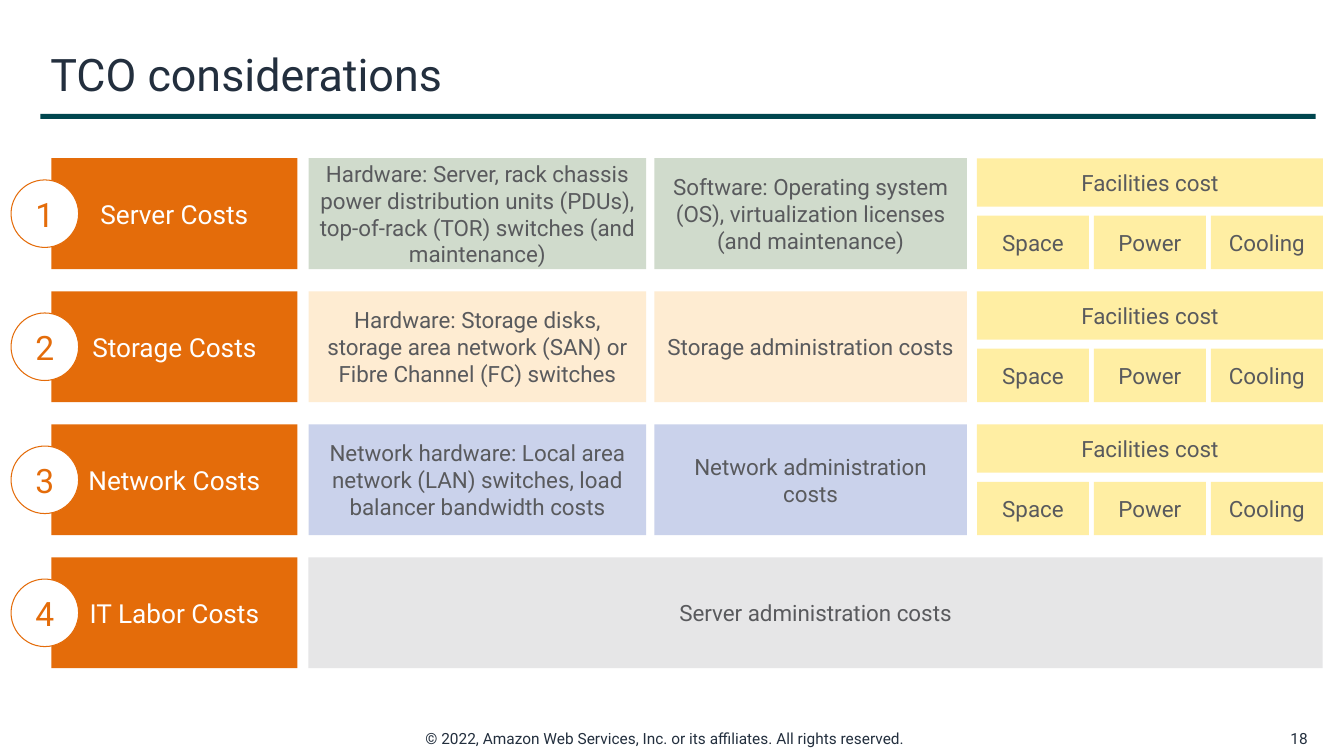
from pptx import Presentation
from pptx.dml.color import RGBColor
from pptx.enum.shapes import MSO_SHAPE
from pptx.enum.text import MSO_ANCHOR, PP_ALIGN
from pptx.util import Inches, Pt

RECTANGLE, OVAL = MSO_SHAPE.RECTANGLE, MSO_SHAPE.OVAL
LEFT, CENTER, RIGHT = PP_ALIGN.LEFT, PP_ALIGN.CENTER, PP_ALIGN.RIGHT
MIDDLE = MSO_ANCHOR.MIDDLE

ORANGE = RGBColor(0xE4, 0x6C, 0x0A)
WHITE = RGBColor(0xFF, 0xFF, 0xFF)
NAVY = RGBColor(0x23, 0x2F, 0x3E)
TEAL = RGBColor(0x00, 0x46, 0x4F)
GRAY = RGBColor(0x59, 0x5A, 0x5D)
SILVER = RGBColor(0xE6, 0xE6, 0xE7)
GREEN = RGBColor(0xD0, 0xDB, 0xCC)
PEACH = RGBColor(0xFE, 0xEC, 0xD2)
LAVENDER = RGBColor(0xCA, 0xD2, 0xEB)
YELLOW = RGBColor(0xFF, 0xEE, 0xA3)

FONT = "Roboto"
FIRST_ROW, ROW_PITCH, ROW_HEIGHT = 1.57, 1.32, 1.1
CATEGORY_LEFT, CATEGORY_WIDTH = 0.51, 2.44
DETAIL_COLUMNS = ((3.06, 3.35), (6.49, 3.1))
FACILITIES_LEFT, FACILITIES_WIDTH, FACILITIES_HEIGHT = 9.69, 3.43, 0.48
ITEM_PITCH, ITEM_WIDTH, ITEM_HEIGHT = 1.16, 1.11, 0.53
BADGE_LEFT, BADGE_SIZE = 0.11, 0.67
RULE_LEFT, RULE_WIDTH = 0.4, 12.65

COSTS = (
    ("Server Costs", GREEN, (
        "Hardware: Server, rack chassis power distribution units (PDUs), "
        "top-of-rack (TOR) switches (and maintenance)",
        "Software: Operating system (OS), virtualization licenses\n(and maintenance)")),
    ("Storage Costs", PEACH, (
        "Hardware: Storage disks, storage area network (SAN) or Fibre Channel (FC) switches",
        "Storage administration costs")),
    ("Network Costs", LAVENDER, (
        "Network hardware: Local area network (LAN) switches, load balancer bandwidth costs",
        "Network administration costs")),
    ("IT Labor Costs", SILVER, ("Server administration costs",)),
)
FACILITIES = ("Space", "Power", "Cooling")


def write(shape, text, size, color, align):
    frame = shape.text_frame
    frame.text = text
    frame.word_wrap = True
    frame.vertical_anchor = MIDDLE
    frame.margin_top = frame.margin_bottom = 0
    for paragraph in frame.paragraphs:
        paragraph.alignment = align
        for run in paragraph.runs:
            run.font.name = FONT
            run.font.size = Pt(size)
            run.font.color.rgb = color


def add_label(slide, box, text, size, align):
    label = slide.shapes.add_textbox(*map(Inches, box))
    write(label, text, size, NAVY, align)


def add_block(slide, box, fill, text="", size=16, color=GRAY, kind=RECTANGLE):
    block = slide.shapes.add_shape(kind, *map(Inches, box))
    block.shadow.inherit = False
    block.fill.solid()
    block.fill.fore_color.rgb = fill
    block.line.fill.background()
    if text:
        write(block, text, size, color, CENTER)
    return block


def add_badge(slide, number, top):
    box = (BADGE_LEFT, top + (ROW_HEIGHT - BADGE_SIZE) / 2, BADGE_SIZE, BADGE_SIZE)
    badge = add_block(slide, box, WHITE, str(number), 24, ORANGE, OVAL)
    badge.text_frame.margin_left = badge.text_frame.margin_right = 0
    badge.line.color.rgb = ORANGE
    badge.line.width = Pt(0.75)


def add_facilities(slide, top):
    add_block(slide, (FACILITIES_LEFT, top, FACILITIES_WIDTH, FACILITIES_HEIGHT),
              YELLOW, "Facilities cost")
    item_top = top + ROW_HEIGHT - ITEM_HEIGHT
    for column, item in enumerate(FACILITIES):
        item_left = FACILITIES_LEFT + column * ITEM_PITCH
        add_block(slide, (item_left, item_top, ITEM_WIDTH, ITEM_HEIGHT), YELLOW, item)


def add_cost_row(slide, row, category, fill, details):
    top = FIRST_ROW + row * ROW_PITCH
    add_block(slide, (CATEGORY_LEFT, top, CATEGORY_WIDTH, ROW_HEIGHT),
              ORANGE, category, 18.7, WHITE)
    if len(details) == 1:
        left = DETAIL_COLUMNS[0][0]
        columns = ((left, FACILITIES_LEFT + FACILITIES_WIDTH - left),)
    else:
        columns = DETAIL_COLUMNS
        add_facilities(slide, top)
    for (left, width), detail in zip(columns, details):
        add_block(slide, (left, top, width, ROW_HEIGHT), fill, detail)
    add_badge(slide, row + 1, top)


def main():
    deck = Presentation()
    deck.slide_width, deck.slide_height = Inches(13.33), Inches(7.5)
    slide = deck.slides.add_slide(deck.slide_layouts[6])
    add_label(slide, (4.12, 7.18, 5.09, 0.29),
              "© 2022, Amazon Web Services, Inc. or its affiliates. All rights reserved.",
              11, LEFT)
    add_block(slide, (RULE_LEFT, 1.13, RULE_WIDTH, 0.05), TEAL)
    add_label(slide, (12.54, 7.18, 0.53, 0.29), "18", 11, RIGHT)
    add_label(slide, (RULE_LEFT, 0.33, RULE_WIDTH, 0.8), "TCO considerations", 32, LEFT)
    for row, cost in enumerate(COSTS):
        add_cost_row(slide, row, *cost)
    deck.save("out.pptx")


if __name__ == "__main__":
    main()
